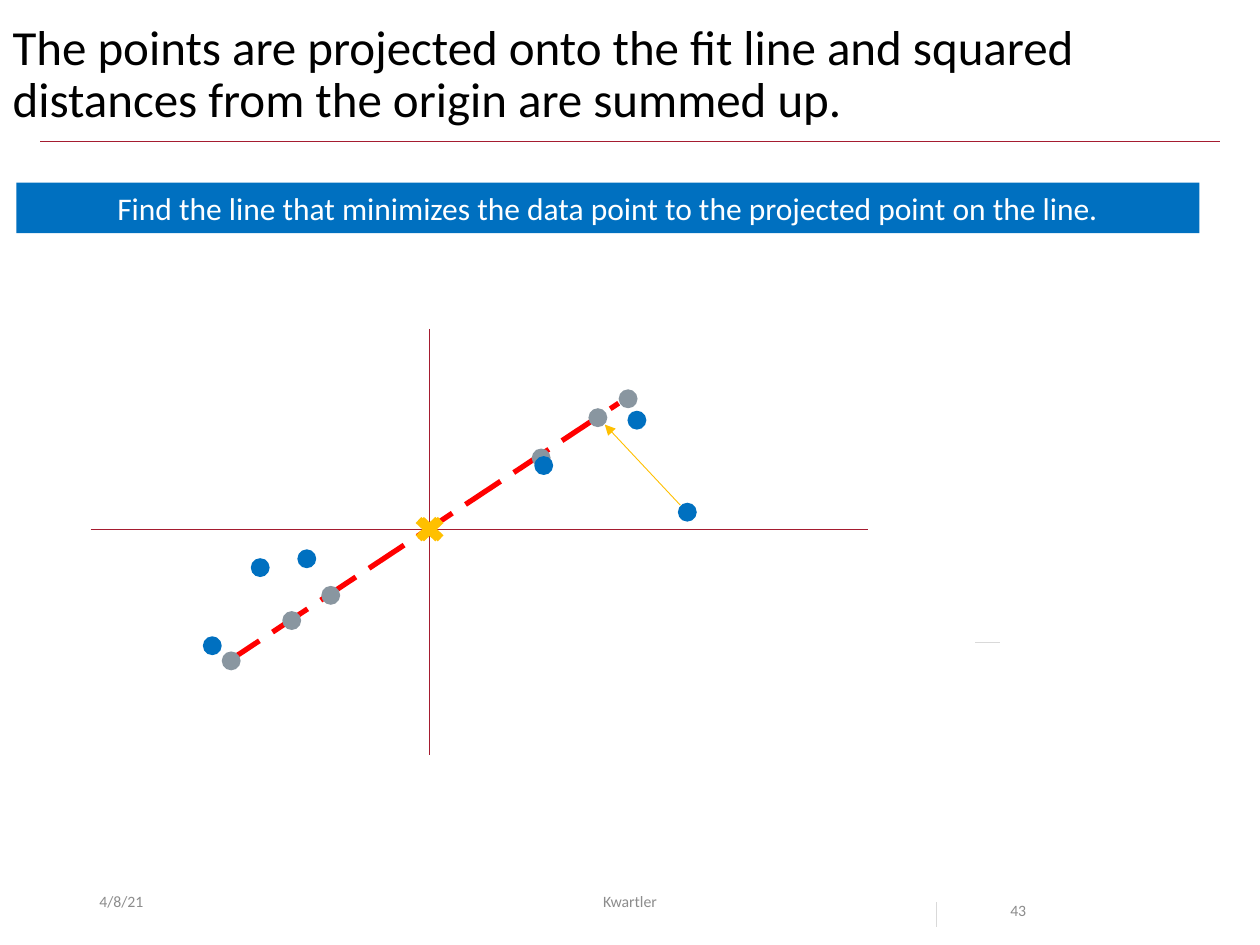
from dataclasses import dataclass

from lxml.etree import SubElement
from pptx import Presentation
from pptx.dml.color import RGBColor
from pptx.enum.dml import MSO_LINE_DASH_STYLE as Dash
from pptx.enum.shapes import MSO_CONNECTOR_TYPE as Connector, MSO_SHAPE as Shape
from pptx.enum.text import MSO_ANCHOR as Anchor, PP_ALIGN as Align
from pptx.oxml.ns import qn
from pptx.util import Inches, Pt


@dataclass(frozen=True)
class Theme:
    font: str = "Calibri"
    title_size: int = 28
    banner_size: int = 18
    footer_size: int = 9
    black: str = "000000"
    white: str = "FFFFFF"
    crimson: str = "A51C30"
    red: str = "FF0000"
    blue: str = "0070C0"
    slate: str = "8996A0"
    gold: str = "FFC000"
    footer: str = "8C8C8C"
    pale: str = "D9D9D9"
    thin: float = 0.5
    thick: float = 3


THEME = Theme()
DOT = 0.15
PROJECTED_POINTS = [(2.24, 4.85), (2.55, 4.65), (1.76, 5.17),
                    (4.22, 3.56), (4.67, 3.24), (4.91, 3.09)]
DATA_POINTS = [(1.99, 4.43), (2.36, 4.36), (1.61, 5.05),
               (4.24, 3.62), (5.38, 3.99), (4.98, 3.26)]


def rgb(color):
    return RGBColor.from_string(color)


def write(frame, text, size, color, align=Align.LEFT, anchor=Anchor.MIDDLE, spacing=None):
    frame.text = text
    frame.word_wrap = True
    frame.vertical_anchor = anchor
    paragraph = frame.paragraphs[0]
    paragraph.alignment = align
    if spacing:
        paragraph.line_spacing = spacing
    font = paragraph.runs[0].font
    font.name = THEME.font
    font.size = Pt(size)
    font.color.rgb = rgb(color)


def add_line(shapes, start, end, color, width=THEME.thin, dash=None, arrow=False):
    line = shapes.add_connector(Connector.STRAIGHT, *map(Inches, start + end))
    line.line.color.rgb = rgb(color)
    line.line.width = Pt(width)
    if dash:
        line.line.dash_style = dash
    properties = line._element.spPr
    if arrow:
        SubElement(properties.find(qn("a:ln")), qn("a:tailEnd"), type="triangle")
    SubElement(properties, qn("a:effectLst"))


def add_filled(shapes, kind, box, color):
    shape = shapes.add_shape(kind, *map(Inches, box))
    shape.shadow.inherit = False
    shape.fill.solid()
    shape.fill.fore_color.rgb = rgb(color)
    shape.line.fill.background()
    return shape


def add_title(slide, text):
    title = slide.shapes.title
    title.left, title.top, title.width, title.height = map(Inches, (0, 0.13, 10, 1.25))
    write(title.text_frame, text, THEME.title_size, THEME.black,
          anchor=Anchor.TOP, spacing=0.9)


def add_footer(shapes, text, left, width, align=Align.LEFT, spacing=None):
    footer = shapes.add_textbox(*map(Inches, (left, 6.95, width, 0.4)))
    write(footer.text_frame, text, THEME.footer_size, THEME.footer, align, spacing=spacing)


def add_axes(shapes):
    axes = shapes.add_group_shape().shapes
    add_line(axes, (3.41, 2.61), (3.41, 5.99), THEME.crimson)
    add_line(axes, (0.72, 4.2), (6.89, 4.2), THEME.crimson)


def add_point_cloud(shapes, origin_left, points, color):
    cloud = shapes.add_group_shape().shapes
    add_filled(cloud, Shape.MATH_MULTIPLY, (origin_left, 4.06, 0.3, 0.28), THEME.gold)
    for left, top in points:
        add_filled(cloud, Shape.OVAL, (left, top, DOT, DOT), color)


def add_banner(shapes, text):
    banner = add_filled(shapes, Shape.RECTANGLE, (0.13, 1.45, 9.39, 0.4), THEME.blue)
    write(banner.text_frame, text, THEME.banner_size, THEME.white, Align.CENTER)


def main():
    deck = Presentation()
    deck.slide_width, deck.slide_height = Inches(10), Inches(7.5)
    slide = deck.slides.add_slide(deck.slide_layouts[5])
    shapes = slide.shapes

    add_line(shapes, (0.32, 1.12), (9.68, 1.12), THEME.crimson)
    add_title(slide, "The points are projected onto the fit line and squared "
                     "distances from the origin are summed up.")
    add_line(shapes, (1.78, 5.27), (4.91, 3.2), THEME.red, THEME.thick, Dash.LONG_DASH)
    add_footer(shapes, "4/8/21", 0.69, 2.25)
    add_footer(shapes, "Kwartler", 3.31, 3.38, Align.CENTER)
    add_footer(shapes, "43", 7.92, 0.94, spacing=2.0)

    add_axes(shapes)
    add_point_cloud(shapes, 3.25, PROJECTED_POINTS, THEME.slate)
    add_banner(shapes, "Find the line that minimizes the data point "
                       "to the projected point on the line.")
    add_point_cloud(shapes, 3.27, DATA_POINTS, THEME.blue)
    add_line(shapes, (5.4, 4.01), (4.8, 3.37), THEME.gold, arrow=True)

    add_line(shapes, (7.43, 7.16), (7.43, 7.36), THEME.pale)
    add_line(shapes, (7.74, 5.1), (7.94, 5.1), THEME.pale)
    deck.save("out.pptx")


if __name__ == "__main__":
    main()
